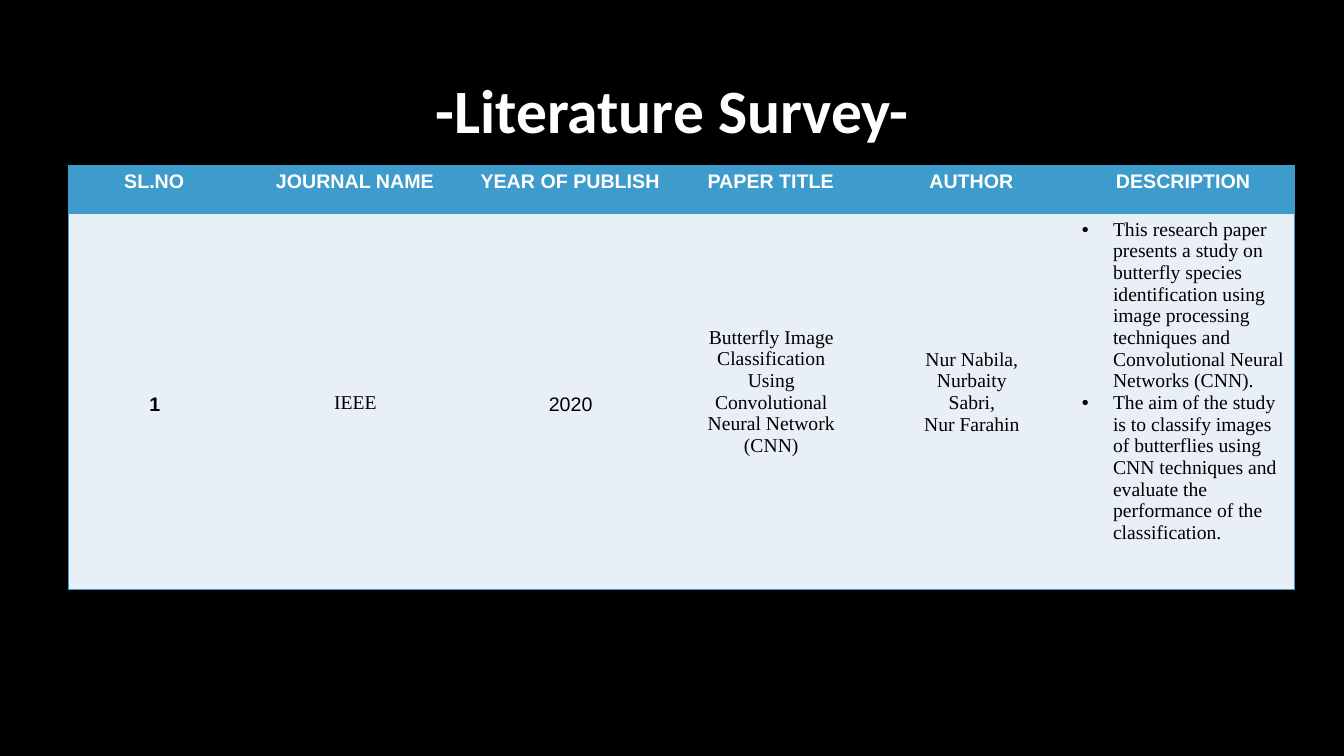
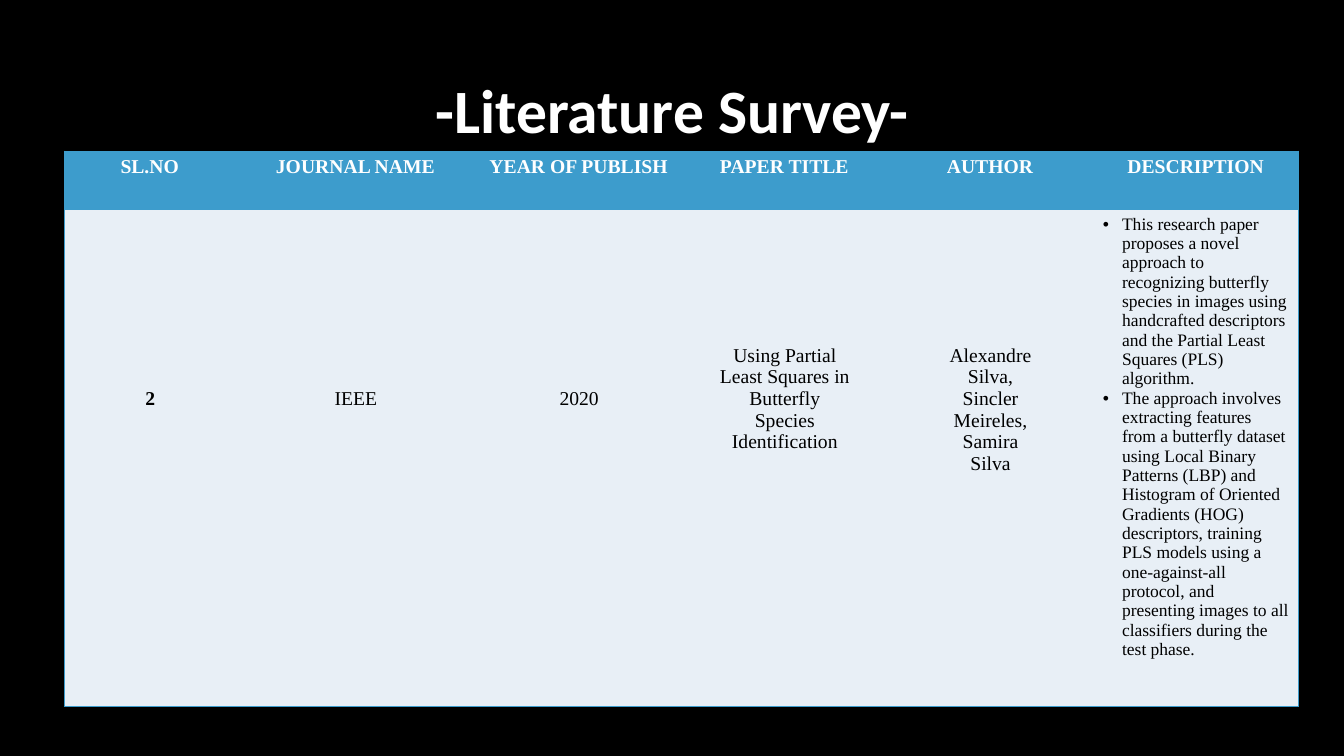
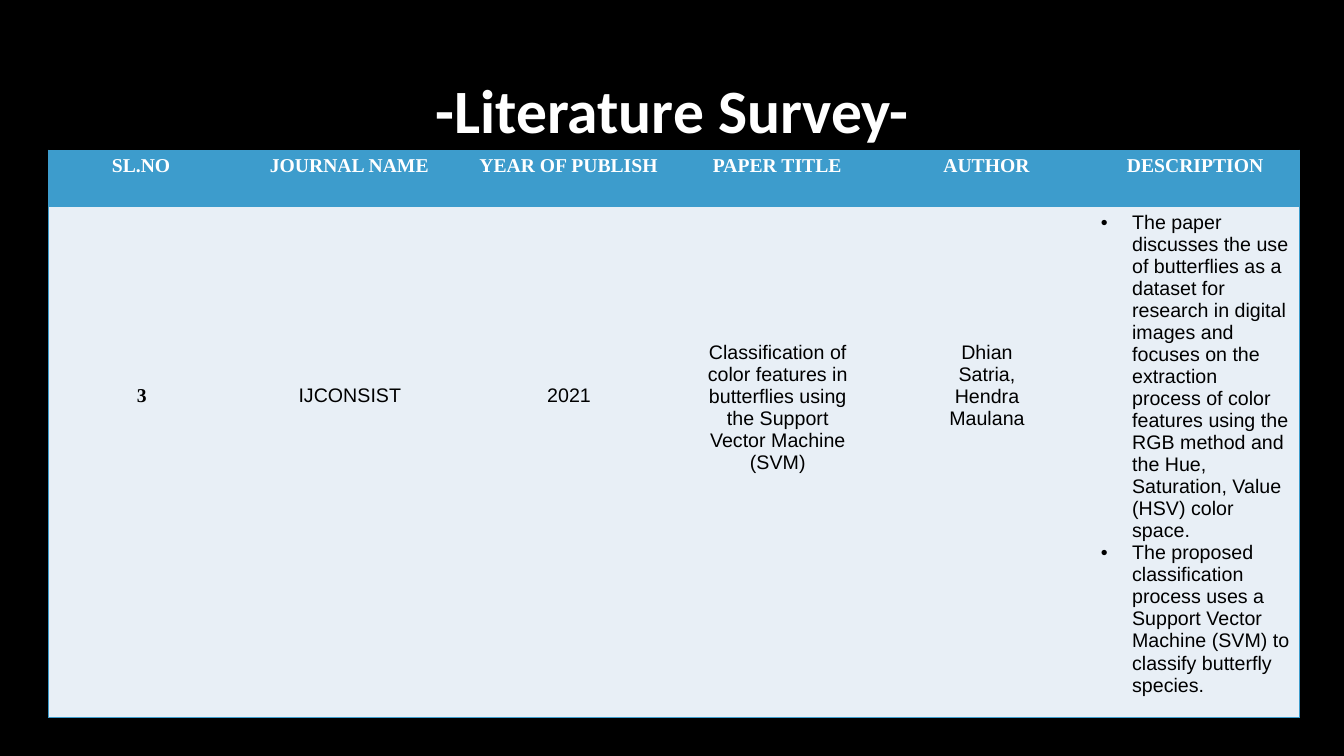
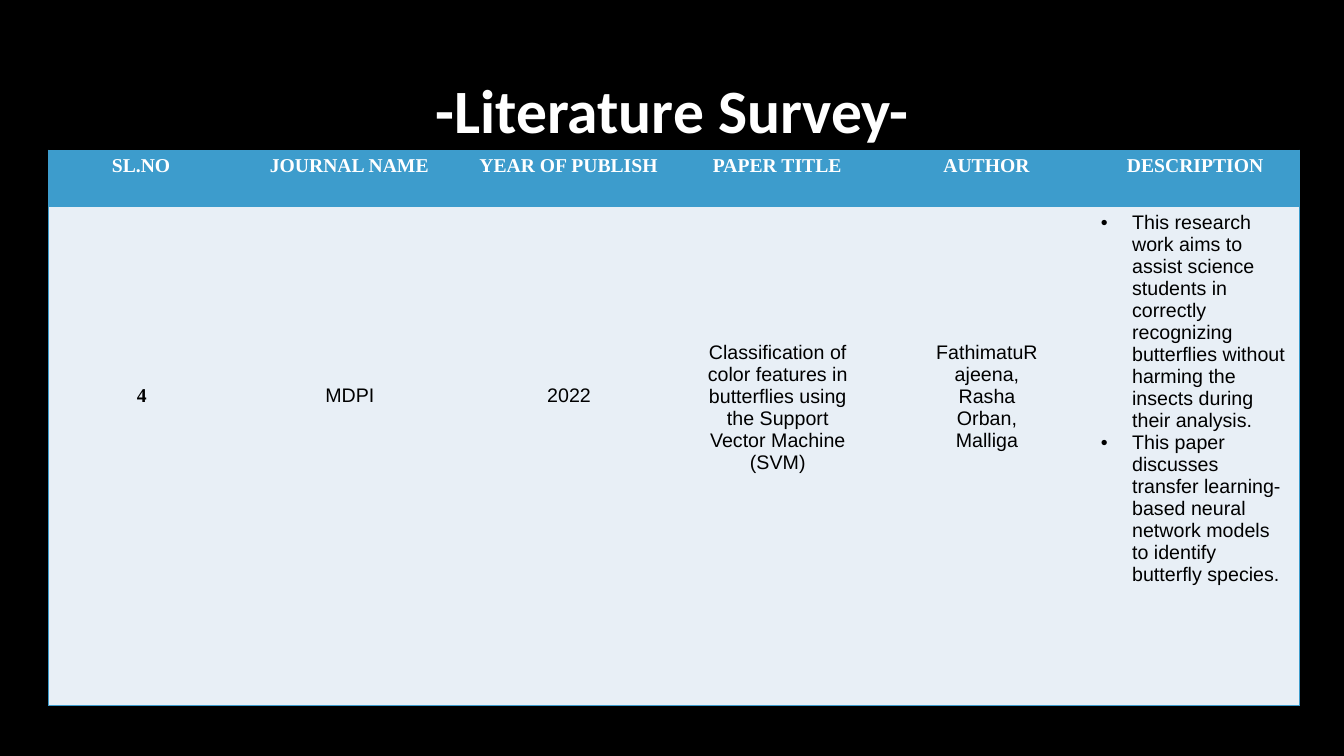
from lxml.etree import SubElement
from pptx import Presentation
from pptx.dml.color import RGBColor
from pptx.enum.text import MSO_ANCHOR as Anchor, MSO_AUTO_SIZE as AutoSize, PP_ALIGN as Align
from pptx.oxml.ns import qn
from pptx.util import Inches, Pt

BLACK = RGBColor(0x00, 0x00, 0x00)
WHITE = RGBColor(0xFF, 0xFF, 0xFF)
BLUE = RGBColor(0x3D, 0x9C, 0xCC)
PALE = RGBColor(0xE8, 0xEF, 0xF6)
SERIF, SANS = "Times New Roman", "Arial"
PLAIN_TABLE = "{2D5ABB26-0587-4C30-8999-92F81FD0307C}"
LINE_HEIGHT = 0.215
HEADINGS = ["SL.NO", "JOURNAL NAME", "YEAR OF PUBLISH", "PAPER TITLE", "AUTHOR", "DESCRIPTION"]
SVM_TITLE = ["Classification of", "color features in", "butterflies using",
             "the Support", "Vector Machine", "(SVM)"]
WIDE_GRID = {"left": 0.48, "top": 1.49, "columns": [1.84, 2.29, 2.06, 2.08, 2.07, 2.07]}

surveys = [
    {
        "left": 0.68, "top": 1.64, "columns": [1.7, 2.28, 1.99, 1.99, 1.99, 2.21],
        "rows": [0.48, 3.73], "heading_font": SANS,
        "fonts": [SANS, SERIF, SANS, SERIF, SERIF, SERIF],
        "lines_above": [8.1, 8, 8.1, 5, 6, 0], "indent": 0.31, "description_size": 14,
        "entry": [
            ["1"], ["IEEE"], ["2020"],
            ["Butterfly Image", "Classification", "Using", "Convolutional", "Neural Network", "(CNN)"],
            ["Nur Nabila,", "Nurbaity", "Sabri,", "Nur Farahin"],
            ["This research paper presents a study on butterfly species identification using image "
             "processing techniques and Convolutional Neural Networks (CNN).",
             "The aim of the study is to classify images of butterflies using CNN techniques and "
             "evaluate the performance of the classification."],
        ],
    },
    {
        "left": 0.64, "top": 1.5, "columns": [1.69, 2.39, 2.04, 2.04, 2.04, 2.04],
        "rows": [0.58, 4.93], "heading_font": SERIF,
        "fonts": [SERIF] * 6,
        "lines_above": [8, 8, 8, 6, 6, 0], "indent": 0.19, "description_size": 12.5,
        "entry": [
            ["2"], ["IEEE"], ["2020"],
            ["Using Partial", "Least Squares in", "Butterfly", "Species", "Identification"],
            ["Alexandre", "Silva,", "Sincler", "Meireles,", "Samira", "Silva"],
            ["This research paper proposes a novel approach to recognizing butterfly species in images "
             "using handcrafted descriptors and the Partial Least Squares (PLS) algorithm.",
             "The approach involves extracting features from a butterfly dataset using Local Binary "
             "Patterns (LBP) and Histogram of Oriented Gradients (HOG) descriptors, training PLS models "
             "using a one-against-all protocol, and presenting images to all classifiers during the "
             "test phase."],
        ],
    },
    {
        **WIDE_GRID, "rows": [0.56, 5.07], "heading_font": SERIF,
        "fonts": [SERIF] + [SANS] * 5,
        "lines_above": [8, 8, 8, 6, 6, 0], "indent": 0.31, "description_size": 14,
        "entry": [
            ["3"], ["IJCONSIST"], ["2021"], SVM_TITLE,
            ["Dhian", "Satria,", "Hendra", "Maulana"],
            ["The paper discusses the use of butterflies as a dataset for research in digital images and "
             "focuses on the extraction process of color features using the RGB method and the Hue, "
             "Saturation, Value (HSV) color space.",
             "The proposed classification process uses a Support Vector Machine (SVM) to classify "
             "butterfly species."],
        ],
    },
    {
        **WIDE_GRID, "rows": [0.56, 4.95], "heading_font": SERIF,
        "fonts": [SERIF] + [SANS] * 5,
        "lines_above": [8, 8, 8, 6, 6, 0], "indent": 0.31, "description_size": 14,
        "entry": [
            ["4"], ["MDPI"], ["2022"], SVM_TITLE,
            ["FathimatuR", "ajeena,", "Rasha", "Orban,", "Malliga"],
            ["This research work aims to assist science students in correctly recognizing butterflies "
             "without harming the insects during their analysis.",
             "This paper discusses transfer learning-based neural network models to identify butterfly "
             "species."],
        ],
    },
]


def add_text(paragraph, text, color, **font_values):
    run = paragraph.add_run()
    run.text = text
    run.font.color.rgb = color
    for name, value in font_values.items():
        setattr(run.font, name, value)


def fill_cell(cell, lines, fill, borders, indent, color, **font_values):
    properties = cell._tc.get_or_add_tcPr()
    for side in borders:
        border = SubElement(properties, qn(f"a:{side}"), w=str(Pt(1)))
        SubElement(SubElement(border, qn("a:solidFill")), qn("a:srgbClr"), val=str(BLUE))
    cell.fill.solid()
    cell.fill.fore_color.rgb = fill
    for number, line in enumerate(lines):
        frame = cell.text_frame
        paragraph = frame.add_paragraph() if number else frame.paragraphs[0]
        paragraph.alignment = Align.LEFT if indent else Align.CENTER
        if indent:
            layout_values = paragraph._p.get_or_add_pPr()
            layout_values.set("marL", str(Inches(indent)))
            layout_values.set("indent", str(-Inches(indent)))
            SubElement(SubElement(layout_values, qn("a:buClr")), qn("a:srgbClr"), val=str(BLACK))
            SubElement(layout_values, qn("a:buFont"), typeface=SANS)
            SubElement(layout_values, qn("a:buChar"), char="•")
        add_text(paragraph, line, color, **font_values)


prs = Presentation()
prs.slide_width, prs.slide_height = Inches(13.33), Inches(7.5)
background = prs.slide_master.background.fill
background.solid()
background.fore_color.rgb = BLACK

survey_layout = prs.slide_layouts[5]
title_place = {"left": 0.92, "top": 0.4, "width": 11.5, "height": 1.45}
for name, value in title_place.items():
    setattr(survey_layout.placeholders[0], name, Inches(value))

for survey in surveys:
    slide = prs.slides.add_slide(survey_layout)
    heading = slide.shapes.title.text_frame
    for name, value in {"vertical_anchor": Anchor.MIDDLE, "auto_size": AutoSize.NONE,
                        "word_wrap": True}.items():
        setattr(heading, name, value)
    heading.paragraphs[0].alignment = Align.CENTER
    heading.paragraphs[0].line_spacing = 0.9
    add_text(heading.paragraphs[0], "-Literature Survey-", WHITE, name="Calibri", size=Pt(44), bold=True)

    frame = slide.shapes.add_table(
        2, len(HEADINGS), Inches(survey["left"]), Inches(survey["top"]),
        Inches(sum(survey["columns"])), Inches(sum(survey["rows"])))
    papers = frame.table
    papers._tbl.tblPr.find(qn("a:tableStyleId")).text = PLAIN_TABLE
    papers.horz_banding = False
    for row, height in zip(papers.rows, survey["rows"]):
        row.height = Inches(height)

    last = len(HEADINGS) - 1
    for index, width in enumerate(survey["columns"]):
        papers.columns[index].width = Inches(width)
        sides = ["lnL"] if index == 0 else ["lnR"] if index == last else []

        label = papers.cell(0, index)
        label.margin_left = label.margin_right = Inches(0.05)
        fill_cell(label, [HEADINGS[index]], BLUE, sides + ["lnT"], 0, WHITE,
                  name=survey["heading_font"], size=Pt(14), bold=True)

        detail = papers.cell(1, index)
        detail.margin_top = Inches(round(0.05 + survey["lines_above"][index] * LINE_HEIGHT, 2))
        detail.margin_right = Inches(0.09)
        fill_cell(detail, survey["entry"][index], PALE, sides + ["lnB"],
                  survey["indent"] if index == last else 0, BLACK,
                  name=survey["fonts"][index], bold=index == 0,
                  size=Pt(survey["description_size"] if index == last else 14))

prs.save("out.pptx")
